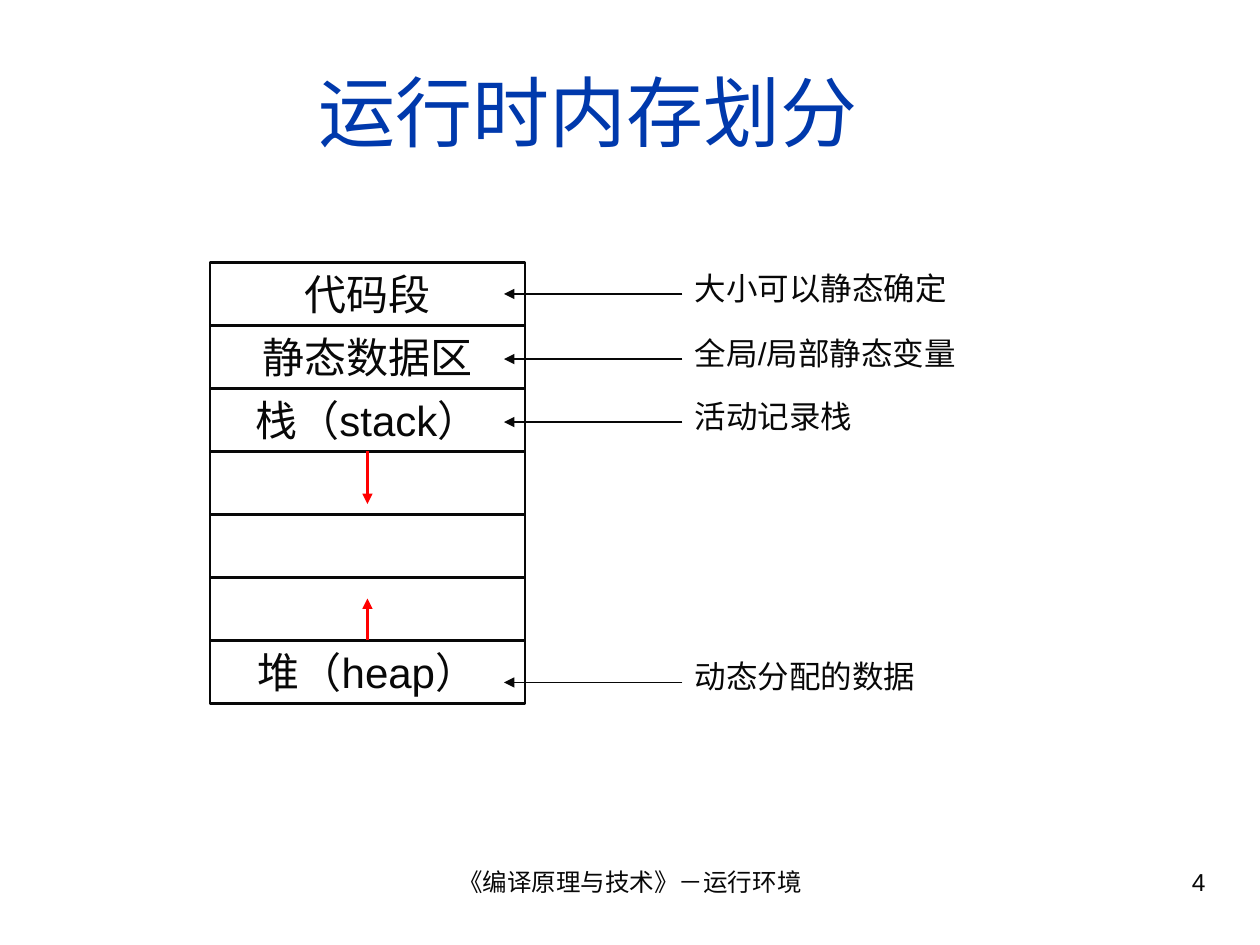
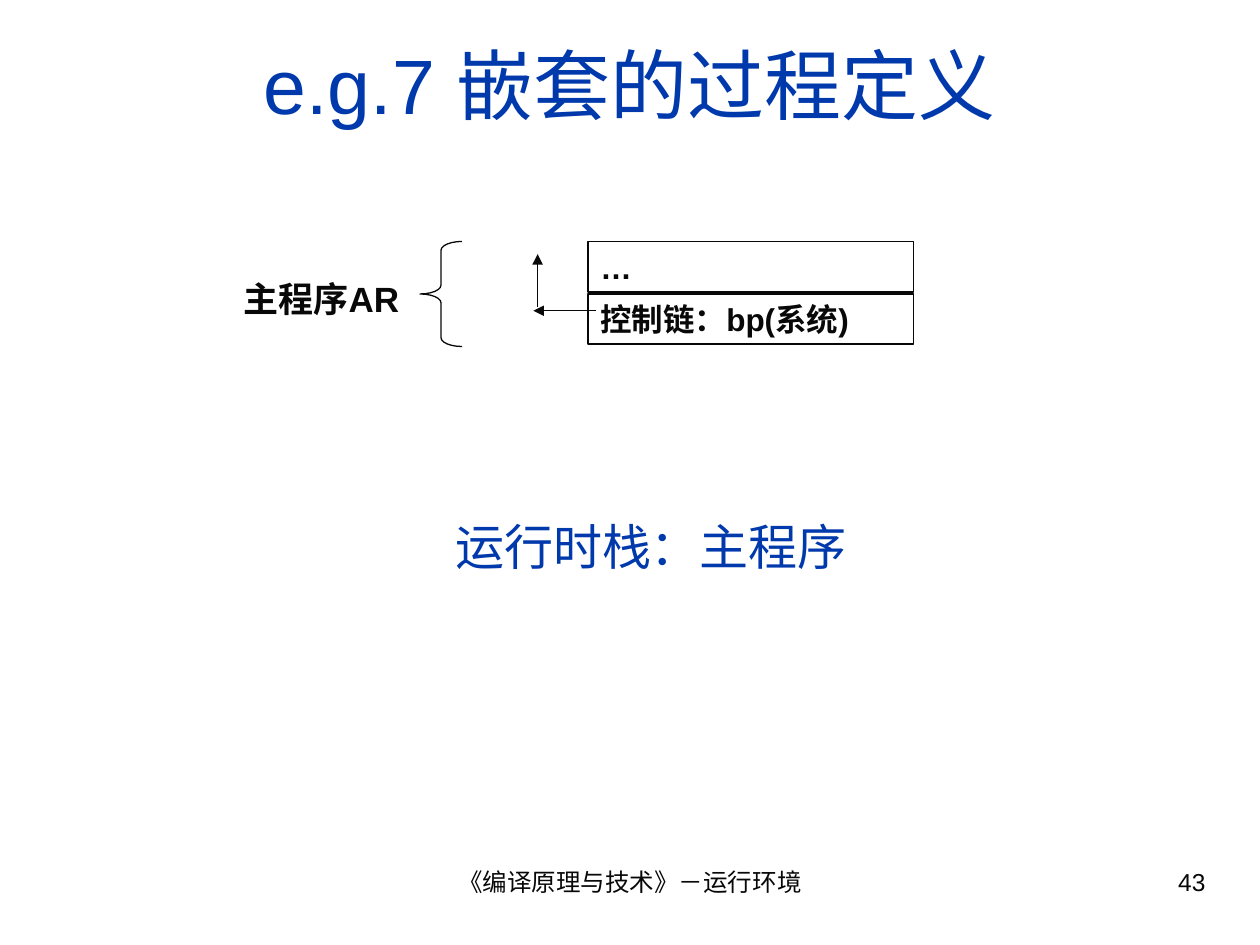
from dataclasses import dataclass
from typing import NamedTuple

from lxml import etree
from pptx import Presentation
from pptx.dml.color import RGBColor
from pptx.enum.shapes import MSO_CONNECTOR, MSO_SHAPE
from pptx.enum.text import MSO_ANCHOR, MSO_AUTO_SIZE, PP_ALIGN
from pptx.oxml.ns import qn
from pptx.util import Inches, Pt

STRAIGHT = MSO_CONNECTOR.STRAIGHT
RECTANGLE, LEFT_BRACE = MSO_SHAPE.RECTANGLE, MSO_SHAPE.LEFT_BRACE
LEFT, CENTER, RIGHT = PP_ALIGN.LEFT, PP_ALIGN.CENTER, PP_ALIGN.RIGHT
TOP, MIDDLE = MSO_ANCHOR.TOP, MSO_ANCHOR.MIDDLE

# The slide is a grid of 120 columns by 90 rows; every length below counts them.
SLIDE_WIDTH, SLIDE_HEIGHT = Inches(10), Inches(7.5)
COLUMN, ROW = SLIDE_WIDTH / 120, SLIDE_HEIGHT / 90
TITLE_ONLY = 5


@dataclass(frozen=True)
class Theme:
    font: str = "Arial"
    ink: RGBColor = RGBColor(0x08, 0x08, 0x08)
    blue: RGBColor = RGBColor(0x00, 0x39, 0xAC)
    red: RGBColor = RGBColor(0xFF, 0x00, 0x00)
    title: float = 44
    caption: float = 28
    segment: float = 24
    record: float = 20
    label: float = 18
    footer: float = 14
    thin: float = 0.75
    medium: float = 1
    thick: float = 1.5


THEME = Theme()


class Box(NamedTuple):
    left: float
    top: float
    width: float
    height: float

    def emu(self):
        return (round(self.left * COLUMN), round(self.top * ROW),
                round(self.width * COLUMN), round(self.height * ROW))


def write(shape, text, size, color=THEME.ink, align=LEFT, anchor=TOP, bold=False):
    frame = shape.text_frame
    frame.word_wrap = True
    frame.auto_size = MSO_AUTO_SIZE.NONE
    frame.vertical_anchor = anchor
    frame.margin_left = frame.margin_right = Inches(0.1)
    frame.margin_top = frame.margin_bottom = Inches(0.05)
    paragraph = frame.paragraphs[0]
    paragraph.alignment = align
    run = paragraph.add_run()
    run.text = text
    run.font.name = THEME.font
    run.font.size = Pt(size)
    run.font.bold = bold
    run.font.color.rgb = color


def add_label(slide, box, text, size, **style):
    write(slide.shapes.add_textbox(*box.emu()), text, size, **style)


def add_outline(slide, preset, box, weight):
    shape = slide.shapes.add_shape(preset, *box.emu())
    shape.shadow.inherit = False
    shape.fill.background()
    shape.line.color.rgb = THEME.ink
    shape.line.width = Pt(weight)
    return shape


def add_arrow(slide, start, end, color=THEME.ink, weight=THEME.thin):
    ends = [round(value * unit) for point in (start, end)
            for value, unit in zip(point, (COLUMN, ROW))]
    arrow = slide.shapes.add_connector(STRAIGHT, *ends)
    arrow.line.color.rgb = color
    arrow.line.width = Pt(weight)
    etree.SubElement(arrow.line._get_or_add_ln(), qn("a:tailEnd"), type="triangle")
    etree.SubElement(arrow._element.spPr, qn("a:effectLst"))


def add_titled_slide(deck, title, title_box, page):
    slide = deck.slides.add_slide(deck.slide_layouts[TITLE_ONLY])
    heading = slide.shapes.title
    heading.left, heading.top, heading.width, heading.height = title_box.emu()
    write(heading, title, THEME.title, color=THEME.blue, align=CENTER, anchor=MIDDLE)
    add_label(slide, Box(41, 82, 38, 6.2), "《编译原理与技术》－运行环境",
              THEME.footer, align=CENTER)
    add_label(slide, Box(86, 82, 30, 6.2), str(page), THEME.footer, align=RIGHT)
    return slide


def draw_memory(slide, box, segments):
    """Stack equal segments; the stack grows down and the heap grows up."""
    height = box.height / len(segments)
    for index, name in enumerate(segments):
        segment = add_outline(
            slide, RECTANGLE,
            Box(box.left, box.top + index * height, box.width, height), THEME.thick)
        if name:
            write(segment, name, THEME.segment, align=CENTER)
    middle = box.left + box.width / 2
    stack_end = box.top + 3 * height
    heap_start = box.top + box.height - height
    for start, growth in ((stack_end, 5), (heap_start, -4)):
        add_arrow(slide, (middle, start), (middle, start + growth),
                  color=THEME.red, weight=THEME.thick)


def draw_remarks(slide, box, remarks):
    """Place each remark, at its row offset in the box, with an arrow to the left."""
    for offset, remark in remarks:
        top = box.top + offset
        add_arrow(slide, (box.left, top + 3), (box.left - 17, top + 3))
        add_label(slide, Box(box.left, top, box.width, 4.8), remark, THEME.label)


def draw_record_name(slide, box, name):
    brace_width = 4
    brace = add_outline(
        slide, LEFT_BRACE,
        Box(box.left + box.width - brace_width, box.top, brace_width, box.height),
        THEME.thin)
    brace.adjustments[0] = 0.21
    add_label(slide, Box(box.left, box.top + 2.8, 19, 5.3), name,
              THEME.record, bold=True)


def draw_record(slide, box, fields):
    """Stack the record's fields, with the control link leaving on the left."""
    pitch = box.height / len(fields)
    for index, field in enumerate(fields):
        cell = add_outline(
            slide, RECTANGLE,
            Box(box.left, box.top + index * pitch, box.width, pitch - 0.2),
            THEME.medium)
        write(cell, field, THEME.label, bold=True)
    link = box.top + 6.6
    add_arrow(slide, (box.left + 0.8, link), (box.left - 5.2, link))
    add_arrow(slide, (box.left - 4.8, link - 0.4), (box.left - 4.8, box.top + 1.2))


def build_memory_slide(deck):
    slide = add_titled_slide(deck, "运行时内存划分", Box(0, 3, 112, 15), 4)
    draw_memory(slide, Box(20, 25, 30, 42),
                ("代码段", "静态数据区", "栈（stack）", "", "", "", "堆（heap）"))
    draw_remarks(slide, Box(65, 25, 30, 42),
                 ((0, "大小可以静态确定"), (6.2, "全局/局部静态变量"),
                  (12.2, "活动记录栈"), (37, "动态分配的数据")))


def build_nested_slide(deck):
    slide = add_titled_slide(deck, "e.g.7 嵌套的过程定义", Box(4, 3, 112, 10), 43)
    draw_record(slide, Box(56, 23, 31, 10), ("…", "控制链：bp(系统)"))
    draw_record_name(slide, Box(22, 23, 22, 10), "主程序AR")
    add_label(slide, Box(6, 47, 112, 10), "运行时栈：主程序", THEME.caption,
              color=THEME.blue, align=CENTER, anchor=MIDDLE)


def main():
    deck = Presentation()
    deck.slide_width, deck.slide_height = SLIDE_WIDTH, SLIDE_HEIGHT
    build_memory_slide(deck)
    build_nested_slide(deck)
    deck.save("out.pptx")


if __name__ == "__main__":
    main()
